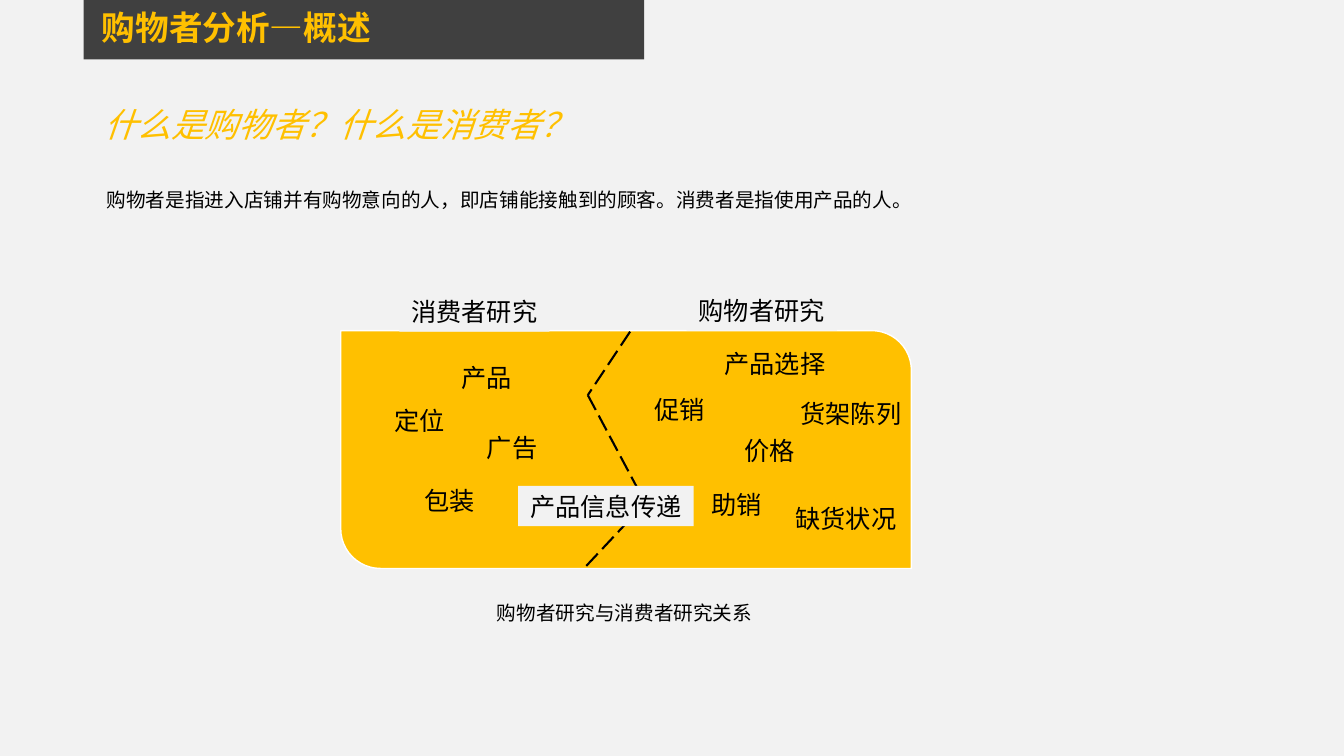
from lxml.etree import SubElement
from pptx import Presentation
from pptx.dml.color import RGBColor
from pptx.enum.dml import MSO_LINE
from pptx.enum.shapes import MSO_CONNECTOR, MSO_SHAPE
from pptx.enum.text import MSO_ANCHOR, MSO_AUTO_SIZE, PP_ALIGN
from pptx.oxml.ns import qn
from pptx.util import Inches, Pt

COLORS = {
    "paper": "F2F2F2",
    "bar": "404040",
    "gold": "FFC000",
    "ink": "000000",
    "white": "FFFFFF",
}
FONT = "League Spartan"


def color(key):
    return RGBColor.from_string(COLORS[key])


def write(shape, text, size, align=PP_ALIGN.LEFT, ink="ink", wrap=True, **styles):
    """Put one formatted paragraph into the shape; styles are font attributes."""
    frame = shape.text_frame
    frame.word_wrap = wrap
    frame.auto_size = MSO_AUTO_SIZE.SHAPE_TO_FIT_TEXT
    paragraph = frame.paragraphs[0]
    paragraph.alignment = align
    run = paragraph.add_run()
    run.text = text
    run.font.color.rgb = color(ink)
    for attribute, value in {"name": FONT, "size": Pt(size), **styles}.items():
        setattr(run.font, attribute, value)


prs = Presentation()
prs.slide_width, prs.slide_height = Inches(13.33), Inches(7.5)
slide = prs.slides.add_slide(prs.slide_layouts[5])
slide.background.fill.solid()
slide.background.fill.fore_color.rgb = color("paper")

# Title on its dark bar
title_bar = slide.shapes.add_shape(
    MSO_SHAPE.RECTANGLE, Inches(0.83), 0, Inches(5.56), Inches(0.59))
title_bar.shadow.inherit = False
title_bar.fill.solid()
title_bar.fill.fore_color.rgb = color("bar")
title_bar.line.fill.background()
slide.shapes._spTree.insert(2, title_bar._element)

title = slide.shapes.title
title.left, title.top, title.width, title.height = map(Inches, (0.91, 0.06, 3.75, 0.5))
write(title, "购物者分析—概述", 24, ink="gold", bold=True)
title.text_frame.auto_size = MSO_AUTO_SIZE.NONE
title.text_frame.vertical_anchor = MSO_ANCHOR.TOP
title.text_frame.paragraphs[0].line_spacing = 0.9

# Question and definition
question = slide.shapes.add_textbox(*map(Inches, (0.91, 0.98, 4.91, 0.5)))
write(question, "什么是购物者？什么是消费者？", 24, PP_ALIGN.CENTER, "gold",
      wrap=False, italic=True)
definition = slide.shapes.add_textbox(*map(Inches, (0.96, 1.82, 12.37, 0.34)))
write(definition,
      "购物者是指进入店铺并有购物意向的人，即店铺能接触到的顾客。消费者是指使用产品的人。", 14)

# Research diagram: panel, dashed divider, topics, boxed headings
diagram = slide.shapes.add_group_shape().shapes
panel = diagram.add_shape(
    MSO_SHAPE.ROUND_2_DIAG_RECTANGLE, *map(Inches, (3.38, 3.28, 5.66, 2.36)))
panel.adjustments[0], panel.adjustments[1] = 0, 0.167
panel.shadow.inherit = False
panel.fill.solid()
panel.fill.fore_color.rgb = color("gold")
panel.line.color.rgb = color("white")
panel.line.width = Pt(1)

divider = [(6.25, 3.29), (5.83, 3.92), (6.4, 4.99), (5.8, 5.63)]
for start, end in zip(divider, divider[1:]):
    segment = diagram.add_connector(
        MSO_CONNECTOR.STRAIGHT, *map(Inches, (*start, *end)))
    segment.line.color.rgb = color("ink")
    segment.line.width = Pt(1.5)
    segment.line.dash_style = MSO_LINE.LONG_DASH
    SubElement(segment._element.spPr, qn("a:effectLst"))

topics = [
    ("产品", 4.43, 3.55, 0.8),
    ("定位", 3.76, 3.97, 0.8),
    ("广告", 4.68, 4.24, 0.8),
    ("包装", 4.06, 4.77, 0.8),
    ("促销", 6.34, 3.86, 0.8),
    ("货架陈列", 7.74, 3.9, 1.4),
    ("助销", 6.91, 4.81, 0.8),
    ("价格", 7.23, 4.27, 0.8),
    ("缺货状况", 7.68, 4.94, 1.42),
    ("产品选择", 7.03, 3.41, 1.31),
]
for text, left, top, width in topics:
    topic = diagram.add_textbox(*map(Inches, (left, top, width, 0.4)))
    write(topic, text, 18, PP_ALIGN.CENTER)

headings = [
    ("消费者研究", 3.96, 2.89, 1.49),
    ("购物者研究", 6.81, 2.88, 1.49),
    ("产品信息传递", 5.14, 4.82, 1.74),
]
for text, left, top, width in headings:
    heading = diagram.add_shape(
        MSO_SHAPE.RECTANGLE, *map(Inches, (left, top, width, 0.4)))
    heading.shadow.inherit = False
    heading.fill.solid()
    heading.fill.fore_color.rgb = color("paper")
    heading.line.fill.background()
    write(heading, text, 18, PP_ALIGN.CENTER)

caption = slide.shapes.add_textbox(*map(Inches, (4.83, 5.91, 3.08, 0.34)))
write(caption, "购物者研究与消费者研究关系", 14)

prs.save("out.pptx")
